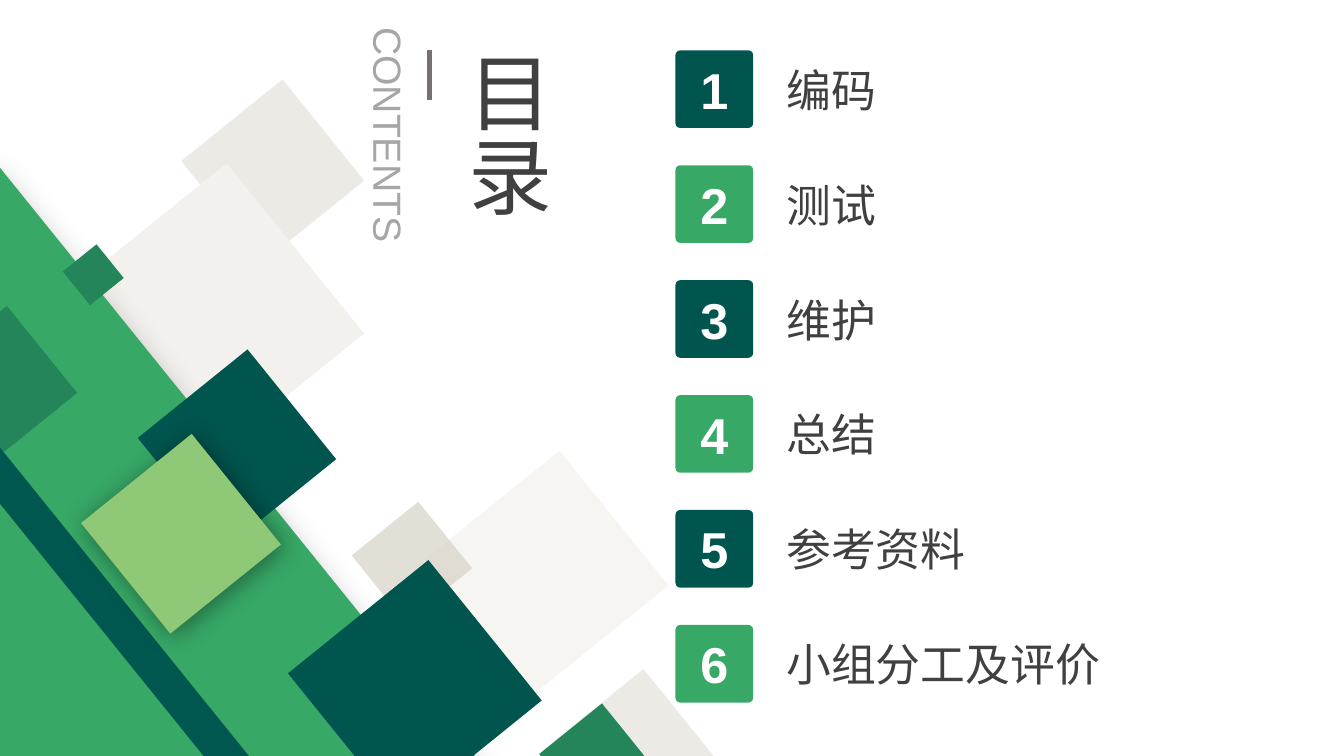
from lxml.etree import SubElement
from pptx import Presentation
from pptx.dml.color import RGBColor
from pptx.enum.shapes import MSO_CONNECTOR, MSO_SHAPE
from pptx.enum.text import MSO_ANCHOR, MSO_AUTO_SIZE, PP_ALIGN
from pptx.oxml.ns import qn
from pptx.util import Pt

PX = 9144
TILT = 231.1
COLORS = {
    "deep": "00554E", "stripe": "00574F", "green": "37A866", "mid": "24855A",
    "lime": "8FC877", "sand": "E7E4DD", "mist": "F2F1ED", "stone": "D8D4C9",
    "ink": "404040", "grey": "A6A6A6", "rule": "767171", "white": "FFFFFF",
    "black": "000000",
}


def add_block(kind, box, color):
    block = slide.shapes.add_shape(kind, *[n * PX for n in box])
    block.shadow.inherit = False
    block.fill.solid()
    block.fill.fore_color.rgb = RGBColor.from_string(COLORS[color])
    block.line.fill.background()
    return block


def write(holder, text, size, color, bold=False):
    paragraph = holder.text_frame.paragraphs[0]
    paragraph.text = text
    font = paragraph.runs[0].font
    font.name = "Arial"
    font.size = Pt(size)
    font.bold = bold
    font.color.rgb = RGBColor.from_string(COLORS[color])
    return paragraph


prs = Presentation()
prs.slide_width = 1333 * PX
prs.slide_height = 750 * PX
slide = prs.slides.add_slide(prs.slide_layouts[6])

tiles = [
    (206, 105, 129, 129, "sand", 76, None),
    (100, 206, 217, 217, "mist", 100, None),
    (564, 690, 129, 129, "sand", 76, None),
    (456, 482, 172, 172, "mist", 67, None),
    (366, 515, 85, 85, "stone", 73, None),
    (-392, 468, 1039, 485, "green", 100, (27, 16, 90)),
    (551, 714, 80, 80, "mid", 100, None),
    (165, 375, 140, 140, "deep", 100, None),
    (-57, 326, 111, 111, "mid", 100, None),
    (71, 251, 43, 43, "mid", 100, None),
    (-380, 657, 1087, 35, "stripe", 100, None),
    (109, 459, 141, 141, "lime", 100, (18, 3, 45)),
    (322, 592, 179, 179, "deep", 100, None),
]
for *box, color, opacity, shadow in tiles:
    tile = add_block(MSO_SHAPE.RECTANGLE, box, color)
    tile.rotation = TILT
    if opacity < 100:
        tint = tile.fill._xPr.find(".//" + qn("a:srgbClr"))
        SubElement(tint, qn("a:alpha"), val=str(opacity * 1000))
    if shadow:
        blur, distance, angle = shadow
        effects = tile._element.spPr.find(qn("a:effectLst"))
        outer = SubElement(effects, qn("a:outerShdw"), blurRad=str(Pt(blur)),
                           dist=str(Pt(distance)), dir=str(angle * 60000),
                           algn="ctr", rotWithShape="0")
        shade = SubElement(outer, qn("a:srgbClr"), val=COLORS["black"])
        SubElement(shade, qn("a:alpha"), val="40000")

topics = ["编码", "测试", "维护", "总结", "参考资料", "小组分工及评价"]
labels = [
    (258, 116, 255, 57, "CONTENTS", 28, "grey", 90, "horz"),
    (437, 40, 121, 195, "目录", 60, "ink", 0, "eaVert"),
]
for index, topic in enumerate(topics):
    top = 50 + 114 * index
    badge = add_block(MSO_SHAPE.ROUNDED_RECTANGLE, (670, top, 77, 77),
                      "green" if index % 2 else "deep")
    badge.adjustments[0] = 0.06
    badge.text_frame.vertical_anchor = MSO_ANCHOR.MIDDLE
    number = write(badge, str(index + 1), 36, "white", bold=True)
    number.alignment = PP_ALIGN.CENTER
    labels.append((770, top + 7, 440, 64, topic, 32, "ink", 0, "horz"))

for *box, text, size, color, turn, direction in labels:
    label = slide.shapes.add_textbox(*[n * PX for n in box])
    label.rotation = turn
    label.text_frame.word_wrap = True
    label.text_frame.auto_size = MSO_AUTO_SIZE.SHAPE_TO_FIT_TEXT
    label.text_frame._txBody.bodyPr.set("vert", direction)
    write(label, text, size, color)

divider = slide.shapes.add_connector(
    MSO_CONNECTOR.STRAIGHT, 426 * PX, 50 * PX, 426 * PX, 99 * PX)
divider.line.color.rgb = RGBColor.from_string(COLORS["rule"])
divider.line.width = Pt(3)
SubElement(divider._element.spPr, qn("a:effectLst"))

prs.save("out.pptx")
